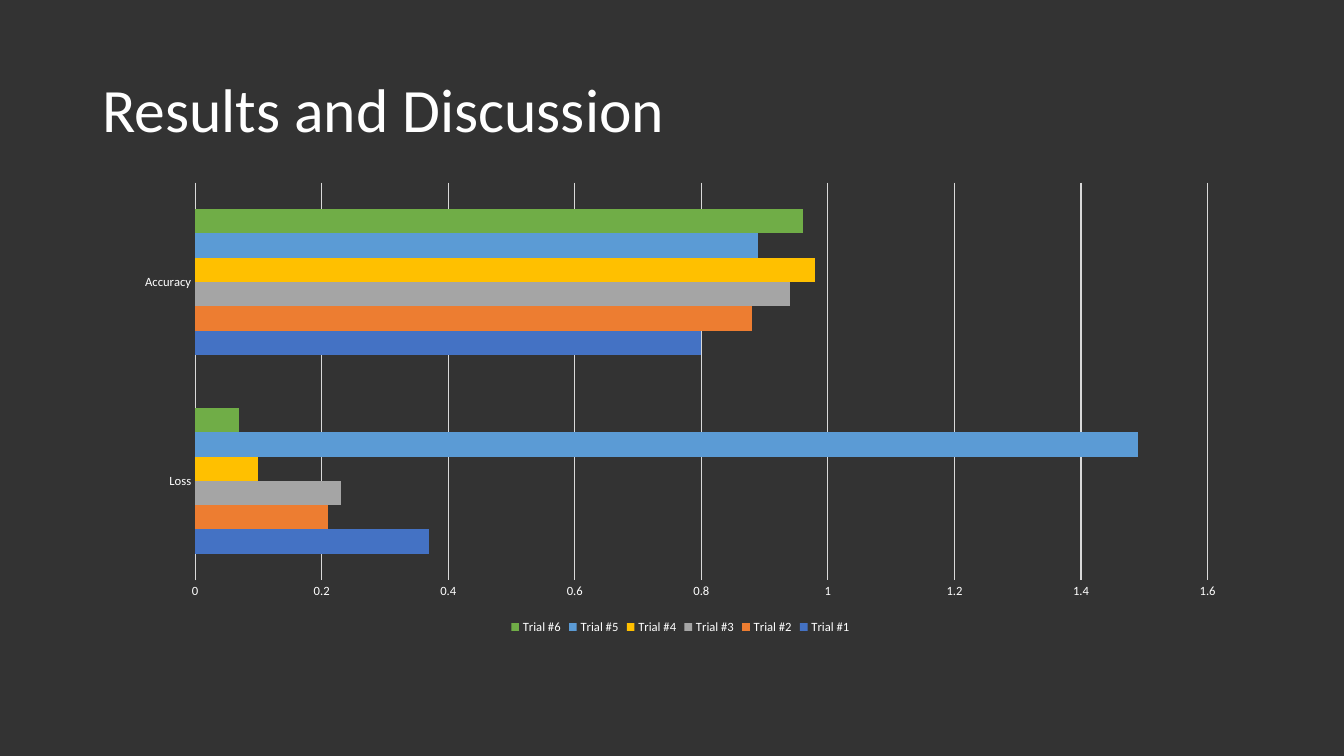
import pptx
import pptx.chart.data
import pptx.dml.color
import pptx.enum.chart
import pptx.enum.text
import pptx.util

RGB = pptx.dml.color.RGBColor
DARK = RGB(0x33, 0x33, 0x33)
WHITE = RGB(0xFF, 0xFF, 0xFF)
GRID = RGB(0xD9, 0xD9, 0xD9)
FONT = "Calibri"
SCALE = 9525  # EMU per px

# Name, loss, accuracy, bar colour
TRIALS = [
    ("Trial #1", 0.37, 0.80, RGB(0x44, 0x72, 0xC4)),
    ("Trial #2", 0.21, 0.88, RGB(0xED, 0x7D, 0x31)),
    ("Trial #3", 0.23, 0.94, RGB(0xA5, 0xA5, 0xA5)),
    ("Trial #4", 0.10, 0.98, RGB(0xFF, 0xC0, 0x00)),
    ("Trial #5", 1.49, 0.89, RGB(0x5B, 0x9B, 0xD5)),
    ("Trial #6", 0.07, 0.96, RGB(0x70, 0xAD, 0x47)),
]


def px(*sizes):
    return [pptx.util.Emu(size * SCALE) for size in sizes]


def style(font, size):
    font.name = FONT
    font.size = pptx.util.Pt(size)
    font.color.rgb = WHITE


def rule(line):
    line.color.rgb = GRID
    line.width = pptx.util.Pt(0.75)


def add_title(slide, box, text):
    frame = slide.shapes.add_textbox(*px(*box)).text_frame
    frame.word_wrap = True
    frame.vertical_anchor = pptx.enum.text.MSO_ANCHOR.MIDDLE
    frame.text = text
    line = frame.paragraphs[0]
    line.line_spacing = 0.9
    style(line.runs[0].font, 44)


def add_bars(slide, box):
    data = pptx.chart.data.CategoryChartData()
    data.categories = ["Loss", "Accuracy"]
    for name, loss, score, _ in TRIALS:
        data.add_series(name, (loss, score))
    kind = pptx.enum.chart.XL_CHART_TYPE.BAR_CLUSTERED
    chart = slide.shapes.add_chart(kind, *px(*box), data).chart
    chart.has_title = False
    style(chart.font, 9)

    # Bars
    plot = chart.plots[0]
    plot.gap_width = 219
    plot.overlap = 0
    plot.vary_by_categories = False
    for bar, trial in zip(plot.series, TRIALS):
        bar.format.fill.solid()
        bar.format.fill.fore_color.rgb = trial[3]

    # Axes
    for axis in (chart.category_axis, chart.value_axis):
        axis.major_tick_mark = pptx.enum.chart.XL_TICK_MARK.NONE
        axis.minor_tick_mark = pptx.enum.chart.XL_TICK_MARK.NONE
        style(axis.tick_labels.font, 9)
    rule(chart.category_axis.format.line)
    value = chart.value_axis
    value.minimum_scale, value.maximum_scale, value.major_unit = 0, 1.6, 0.2
    value.format.line.fill.background()
    value.has_major_gridlines = True
    rule(value.major_gridlines.format.line)

    # Legend
    chart.has_legend = True
    chart.legend.position = pptx.enum.chart.XL_LEGEND_POSITION.BOTTOM
    chart.legend.include_in_layout = False
    style(chart.legend.font, 9)


def main():
    deck = pptx.Presentation()
    deck.slide_width, deck.slide_height = px(1280, 720)
    slide = deck.slides.add_slide(deck.slide_layouts[6])
    slide.background.fill.solid()
    slide.background.fill.fore_color.rgb = DARK
    add_title(slide, (88, 38, 1104, 139), "Results and Discussion")
    add_bars(slide, (117, 165, 1062, 443))
    deck.save("out.pptx")


if __name__ == "__main__":
    main()
